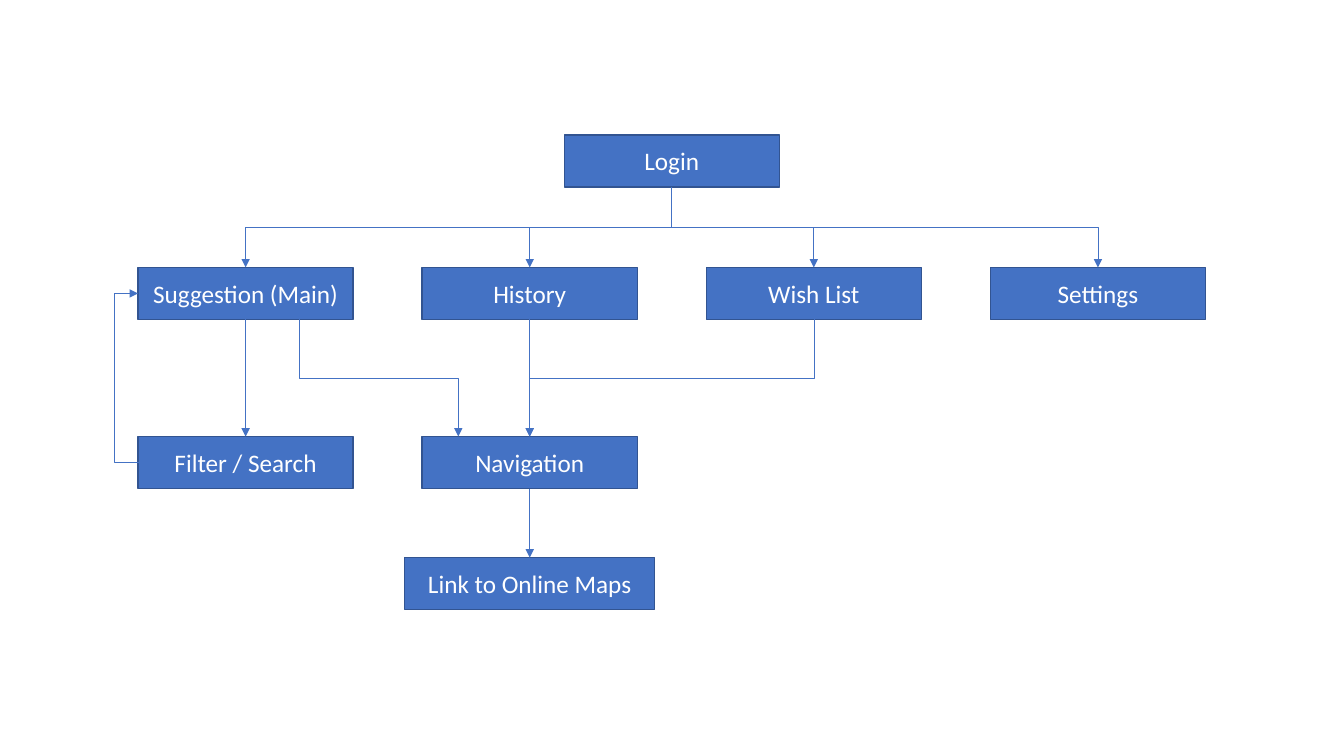
from dataclasses import dataclass

from lxml import etree
from pptx import Presentation
from pptx.dml.color import RGBColor
from pptx.enum.shapes import MSO_CONNECTOR, MSO_SHAPE
from pptx.enum.text import MSO_ANCHOR, PP_ALIGN
from pptx.oxml.ns import qn
from pptx.shapes.autoshape import Shape
from pptx.shapes.connector import Connector
from pptx.slide import Slide
from pptx.util import Cm, Pt

RECTANGLE = MSO_SHAPE.RECTANGLE
STRAIGHT = MSO_CONNECTOR.STRAIGHT
ELBOW = MSO_CONNECTOR.ELBOW
CENTER = PP_ALIGN.CENTER
MIDDLE = MSO_ANCHOR.MIDDLE

BLUE = "4472C4"
DARK_BLUE = "325491"
WHITE = "FFFFFF"
FONT_NAME = "Calibri"

FIRST_CENTER = 6.19
COLUMN_PITCH = 7.16
ROW_TOPS = (3.4, 6.74, 11.0, 14.05)
BOX_WIDTH = 5.42
BOX_HEIGHT = 1.31

BOTTOM_SITE = 2
TOP_SITE = 0
LOOP_WIDTH = 0.04
LOOP_REACH = 0.64


@dataclass(frozen=True)
class Screen:
    label: str
    column: float
    row: int
    width: float = BOX_WIDTH

    @property
    def center(self) -> float:
        return FIRST_CENTER + self.column * COLUMN_PITCH

    @property
    def left(self) -> float:
        return self.center - self.width / 2

    @property
    def top(self) -> float:
        return ROW_TOPS[self.row]

    @property
    def bottom(self) -> float:
        return self.top + BOX_HEIGHT

    @property
    def middle(self) -> float:
        return self.top + BOX_HEIGHT / 2


@dataclass(frozen=True)
class Flow:
    source: Screen
    target: Screen
    source_offset: float = 0
    target_offset: float = 0


LOGIN = Screen("Login", 1.5, 0)
SUGGESTION = Screen("Suggestion (Main)", 0, 1)
HISTORY = Screen("History", 1, 1)
WISH_LIST = Screen("Wish List", 2, 1)
SETTINGS = Screen("Settings", 3, 1)
FILTER = Screen("Filter / Search", 0, 2)
NAVIGATION = Screen("Navigation", 1, 2)
MAPS_LINK = Screen("Link to Online Maps", 1, 3, 6.3)

SCREENS = (LOGIN, SUGGESTION, HISTORY, WISH_LIST, SETTINGS, FILTER, NAVIGATION, MAPS_LINK)
FLOWS = (
    Flow(LOGIN, HISTORY),
    Flow(LOGIN, SUGGESTION),
    Flow(LOGIN, WISH_LIST),
    Flow(LOGIN, SETTINGS),
    Flow(SUGGESTION, FILTER),
    Flow(HISTORY, NAVIGATION),
    Flow(WISH_LIST, NAVIGATION),
    Flow(NAVIGATION, MAPS_LINK),
    Flow(SUGGESTION, NAVIGATION, 1.36, -1.8),
)


def color(value: str) -> RGBColor:
    return RGBColor.from_string(value)


def draw_screen(slide: Slide, screen: Screen) -> Shape:
    shape = slide.shapes.add_shape(
        RECTANGLE, Cm(screen.left), Cm(screen.top), Cm(screen.width), Cm(BOX_HEIGHT)
    )
    shape.shadow.inherit = False
    shape.fill.solid()
    shape.fill.fore_color.rgb = color(BLUE)
    shape.line.color.rgb = color(DARK_BLUE)
    shape.line.width = Pt(1)
    shape.text_frame.vertical_anchor = MIDDLE
    paragraph = shape.text_frame.paragraphs[0]
    paragraph.text = screen.label
    paragraph.alignment = CENTER
    paragraph.font.name = FONT_NAME
    paragraph.font.size = Pt(18)
    paragraph.font.color.rgb = color(WHITE)
    return shape


def style_arrow(connector: Connector) -> None:
    connector.line.color.rgb = color(BLUE)
    connector.line.width = Pt(0.5)
    line = connector.line._get_or_add_ln()
    etree.SubElement(line, qn("a:tailEnd"), type="triangle")
    etree.SubElement(connector._element.spPr, qn("a:effectLst"))


def place_vertical_elbow(
    connector: Connector, start_x: float, start_y: float, end_x: float, end_y: float
) -> None:
    center_x, center_y = (start_x + end_x) / 2, (start_y + end_y) / 2
    half_length = (end_y - start_y) / 2
    half_spread = abs(end_x - start_x) / 2
    direction = 1 if end_x < start_x else -1
    connector.begin_x = Cm(center_x - direction * half_length)
    connector.end_x = Cm(center_x + direction * half_length)
    connector.begin_y = Cm(center_y - half_spread)
    connector.end_y = Cm(center_y + half_spread)
    rotation = 90 if direction == 1 else 270
    connector._element.spPr.find(qn("a:xfrm")).set("rot", str(rotation * 60000))


def draw_flow(slide: Slide, flow: Flow, boxes: dict[Screen, Shape]) -> None:
    start_x = flow.source.center + flow.source_offset
    end_x = flow.target.center + flow.target_offset
    start_y, end_y = flow.source.bottom, flow.target.top
    is_straight = start_x == end_x
    connector = slide.shapes.add_connector(
        STRAIGHT if is_straight else ELBOW, Cm(start_x), Cm(start_y), Cm(end_x), Cm(end_y)
    )
    if not flow.source_offset and not flow.target_offset:
        connector.begin_connect(boxes[flow.source], BOTTOM_SITE)
        connector.end_connect(boxes[flow.target], TOP_SITE)
    if not is_straight:
        place_vertical_elbow(connector, start_x, start_y, end_x, end_y)
    style_arrow(connector)


def draw_return_loop(slide: Slide, source: Screen, target: Screen) -> None:
    connector = slide.shapes.add_connector(
        ELBOW, Cm(source.left + LOOP_WIDTH), Cm(source.middle), Cm(target.left), Cm(target.middle)
    )
    adjustments = connector._element.spPr.find(qn("a:prstGeom")).get_or_add_avLst()
    bend = round(LOOP_REACH / LOOP_WIDTH * 100000)
    etree.SubElement(adjustments, qn("a:gd"), name="adj1", fmla=f"val {bend}")
    style_arrow(connector)


def main() -> None:
    presentation = Presentation()
    presentation.slide_width = Cm(33.87)
    presentation.slide_height = Cm(19.05)
    slide = presentation.slides.add_slide(presentation.slide_layouts[6])
    boxes = {screen: draw_screen(slide, screen) for screen in SCREENS}
    for flow in FLOWS:
        draw_flow(slide, flow, boxes)
    draw_return_loop(slide, FILTER, SUGGESTION)
    presentation.save("out.pptx")


main()
